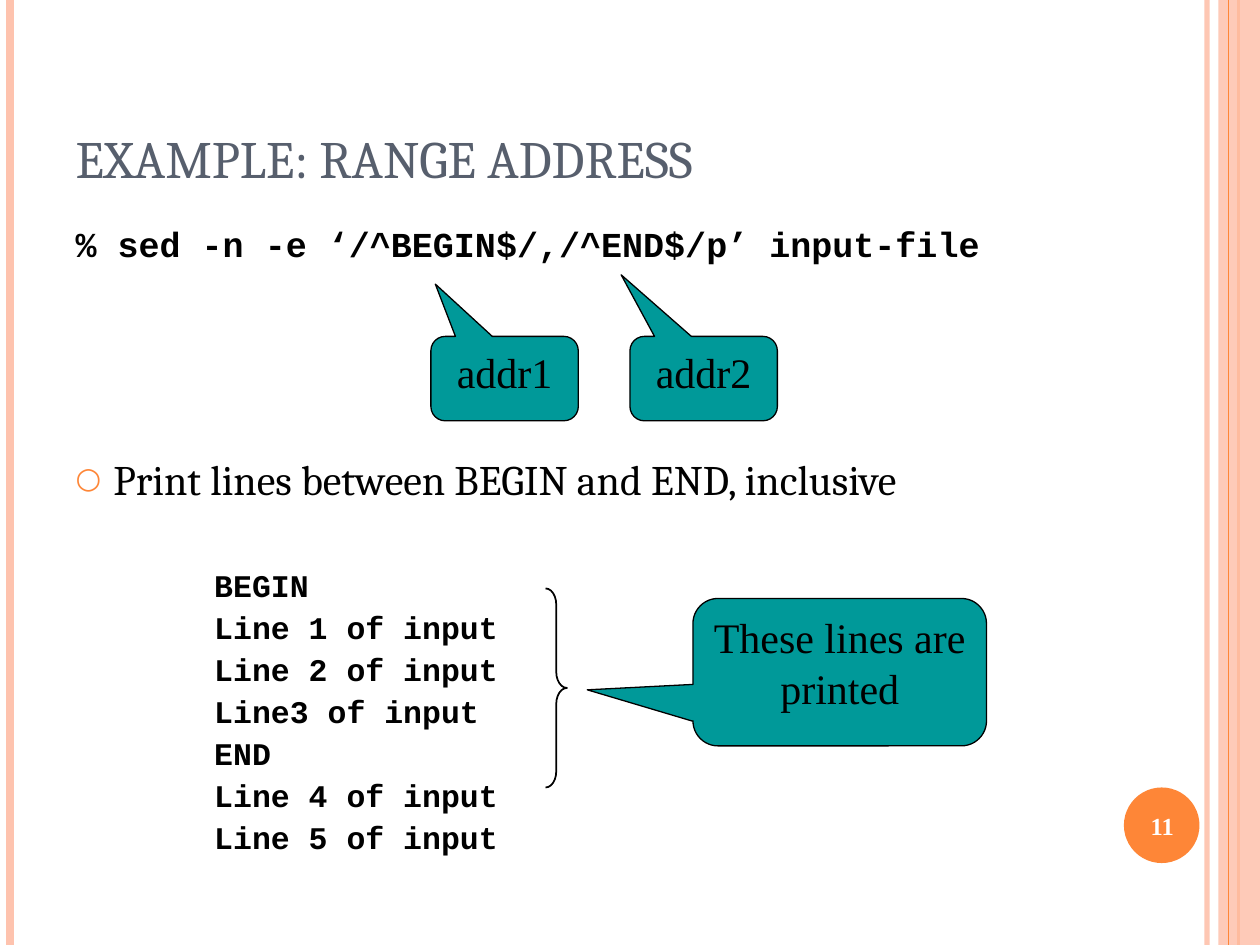
import pptx
import pptx.util
import pptx.dml.color
import pptx.enum.shapes
import pptx.enum.text
import pptx.oxml
import pptx.oxml.ns
import lxml.etree

Inches = pptx.util.Inches
Pt = pptx.util.Pt
SHAPE = pptx.enum.shapes.MSO_SHAPE
ALIGN = pptx.enum.text.PP_ALIGN
ANCHOR = pptx.enum.text.MSO_ANCHOR
COLORS = {"peach": "FEC3AE", "orange": "FE8637", "teal": "009999",
          "slate": "575F6D", "black": "000000", "white": "FFFFFF"}
SERIF, MONO, ROMAN = "Cambria", "Courier New", "Times New Roman"
CODE = ["BEGIN", "Line 1 of input", "Line 2 of input", "Line3 of input",
        "END", "Line 4 of input", "Line 5 of input"]


def rgb(name):
    """Return the named colour."""
    return pptx.dml.color.RGBColor.from_string(COLORS[name])


def sub(parent, tag, **attrs):
    """Append a drawing element with attributes."""
    node = lxml.etree.SubElement(parent, pptx.oxml.ns.qn(tag))
    for key, value in attrs.items():
        node.set(key, str(value))
    return node


def fade(shape, alpha):
    """Make the first colour of a shape partly transparent."""
    color = next(shape._element.spPr.iter(pptx.oxml.ns.qn("a:srgbClr")))
    sub(color, "a:alpha", val=alpha * 1000)


def write(para, text, font=ROMAN, size=24, color="black", bold=False,
          align=ALIGN.LEFT, before=0, spacing=1.0):
    """Fill a paragraph with formatted text."""
    run = para.add_run()
    run.text = text
    run.font.name, run.font.size, run.font.bold = font, Pt(size), bold
    run.font.color.rgb = rgb(color)
    para.alignment, para.line_spacing = align, spacing
    para.space_before = Pt(before)


def indent(para, left, first, mark=None):
    """Set the indents of a paragraph and its bullet, if any."""
    props = para._p.get_or_add_pPr()
    props.set("marL", str(Inches(left)))
    props.set("indent", str(Inches(first)))
    if mark:
        sub(sub(props, "a:buClr"), "a:srgbClr", val=COLORS["orange"])
        sub(props, "a:buSzPct", val=70000)
        sub(props, "a:buFont", typeface=SERIF)
        sub(props, "a:buChar", char=mark)
    else:
        sub(props, "a:buNone")


def place(shape, box):
    """Move a shape to a box given in inches."""
    shape.left, shape.top, shape.width, shape.height = map(Inches, box)


def draw(slide, kind, box, fill=None, line=None, width=0.75):
    """Add a preset shape with plain fill and line."""
    shape = slide.shapes.add_shape(kind, *map(Inches, box))
    shape.shadow.inherit = False
    if fill:
        shape.fill.solid()
        shape.fill.fore_color.rgb = rgb(fill)
    else:
        shape.fill.background()
    if line:
        shape.line.color.rgb = rgb(line)
        shape.line.width = Pt(width)
    else:
        shape.line.fill.background()
    return shape


def rule(slide, left, height, color, width):
    """Add a vertical line from the top edge."""
    line = slide.shapes.add_connector(
        pptx.enum.shapes.MSO_CONNECTOR.STRAIGHT,
        Inches(left), 0, Inches(left), Inches(height))
    line.line.color.rgb = rgb(color)
    line.line.width = Pt(width)
    sub(line._element.spPr, "a:effectLst")
    return line


def frame(slide, box):
    """Draw the side stripes within the slide's box."""
    left, top, width, height = box
    right = left + width
    fade(rule(slide, right - 0.42, height, "peach", 3), 93)
    rule(slide, left + 0.08, height, "peach", 4.5)
    rule(slide, right - 0.17, height, "orange", 1.5)
    band = draw(slide, SHAPE.RECTANGLE, (right - 0.33, top, 0.33, height), "peach")
    fade(band, 87)
    rule(slide, right - 0.25, height, "orange", 0.75)


def badge(slide, box, text):
    """Draw the page number on its disc."""
    left, top, width, height = box
    draw(slide, SHAPE.OVAL, box, "orange")
    label = slide.shapes.add_textbox(
        *map(Inches, (left - 0.03, top + 0.02, width + 0.07, height - 0.03)))
    label.text_frame.word_wrap = True
    label.text_frame.vertical_anchor = ANCHOR.MIDDLE
    write(label.text_frame.paragraphs[0], text, size=14, color="white",
          bold=True, align=ALIGN.CENTER)


def head(slide, box, text):
    """Fill the title placeholder."""
    title = slide.shapes.title
    place(title, box)
    title.text_frame.vertical_anchor = ANCHOR.BOTTOM
    write(title.text_frame.paragraphs[0], text, SERIF, 30, "slate")


def body(slide, box):
    """Fill the body with the command, its meaning and the sample input."""
    holder = slide.placeholders[1]
    place(holder, box)
    text = holder.text_frame
    text.vertical_anchor = ANCHOR.TOP
    para = text.paragraphs[0]
    write(para, "% sed -n -e ‘/^BEGIN$/,/^END$/p’ input-file", MONO, 20,
          bold=True, spacing=0.9)
    indent(para, 0.3, -0.3)
    para = text.add_paragraph()
    write(para, "Print lines between BEGIN and END, inclusive", SERIF, before=108)
    indent(para, 0.3, -0.3, "○")
    for i, line in enumerate(CODE):
        para = text.add_paragraph()
        para.level = 2
        write(para, line, MONO, 18, bold=True, spacing=0.9,
              before=4.5 if i else 38)
        indent(para, 1.3, -0.2)


def callout(slide, box, tip, text):
    """Draw a speech bubble whose tip is relative to its centre."""
    shape = draw(slide, SHAPE.ROUNDED_RECTANGULAR_CALLOUT, box, "teal", "black")
    for i, value in enumerate((*tip, 0.17)):
        shape.adjustments[i] = value
    shape.text_frame.word_wrap = True
    shape.text_frame.vertical_anchor = ANCHOR.TOP
    write(shape.text_frame.paragraphs[0], text, align=ALIGN.CENTER)


def notes(slide, box):
    """Place the callouts and the brace over the body."""
    left, top = box[:2]
    callout(slide, (left + 2.92, top + 0.92, 1.17, 0.67), (-0.47, -1.12), "addr1")
    callout(slide, (left + 4.5, top + 0.92, 1.17, 0.67), (-0.56, -1.23), "addr2")
    brace = draw(slide, SHAPE.RIGHT_BRACE, (left + 3.83, top + 2.92, 0.17, 1.58),
                 line="black", width=1)
    brace.adjustments[0] = 0.75
    callout(slide, (left + 5, top + 3, 2.33, 1.17), (-0.86, 0.12),
            "These lines are printed")


def main():
    """Build and save the slide."""
    deck = pptx.Presentation()
    deck.slide_width, deck.slide_height = Inches(10), Inches(7.5)
    slide = deck.slides.add_slide(deck.slide_layouts[1])
    area = (0.5, 1.75, 8.17, 5.33)
    frame(slide, (0, 0, 10, 7.5))
    head(slide, (0.5, 0.3, 8.17, 1.25), "EXAMPLE: RANGE ADDRESS")
    body(slide, area)
    badge(slide, (8.92, 6.25, 0.6, 0.6), "11")
    notes(slide, area)
    deck.save("out.pptx")


if __name__ == "__main__":
    main()
